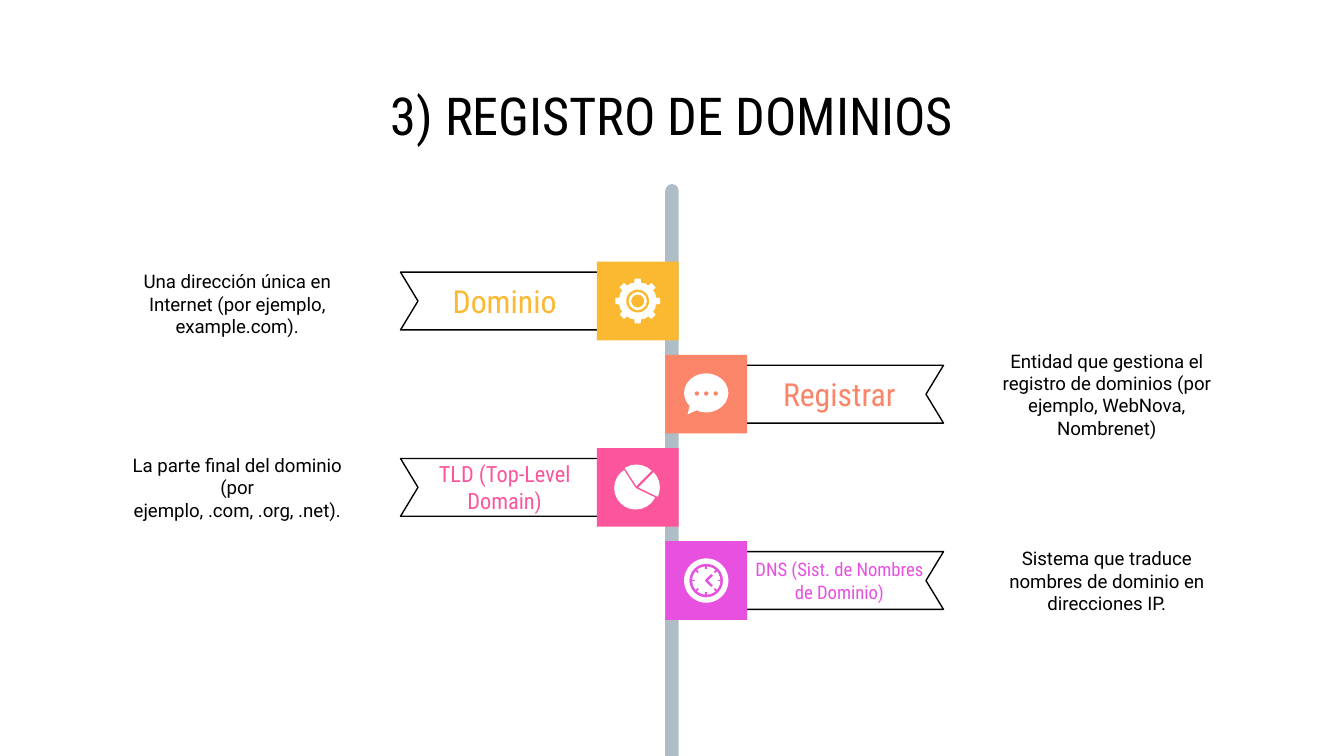
from math import cos, pi, sin

from pptx import Presentation
from pptx.dml.color import RGBColor
from pptx.enum.shapes import MSO_CONNECTOR, MSO_SHAPE
from pptx.enum.text import MSO_ANCHOR, PP_ALIGN
from pptx.oxml.ns import qn
from pptx.util import Inches, Pt
from lxml import etree

RECT, OVAL, DONUT = MSO_SHAPE.RECTANGLE, MSO_SHAPE.OVAL, MSO_SHAPE.DONUT
PIE, BUBBLE = MSO_SHAPE.PIE, MSO_SHAPE.OVAL_CALLOUT
POST = MSO_SHAPE.ROUND_2_SAME_RECTANGLE
STRAIGHT = MSO_CONNECTOR.STRAIGHT
MIDDLE, CENTER = MSO_ANCHOR.MIDDLE, PP_ALIGN.CENTER

WIDE = Inches(10)
HIGH = WIDE * 9 // 16
UNIT = WIDE / 100
TALL = HIGH / UNIT
STEP = 20.8 / 3
FIRST = 22.4
HUES = {
    "white": "FFFFFF", "black": "000000", "post": "AFBDC6",
    "gold": "FBB831", "coral": "FB8569", "pink": "FB569C", "violet": "E850E0",
}


def size(share):
    """Turn hundredths of the slide width into a length."""
    return round(share * UNIT)


def tint(hue):
    """Look a colour up by name."""
    return RGBColor.from_string(HUES[hue])


def paint(shape, fill=None, line=None, weight=0.75):
    """Set fill and line of a shape and drop its shadow."""
    shape.shadow.inherit = False
    if fill:
        shape.fill.solid()
        shape.fill.fore_color.rgb = tint(fill)
    else:
        shape.fill.background()
    if line:
        shape.line.color.rgb = tint(line)
        shape.line.width = Pt(weight)
    else:
        shape.line.fill.background()
    return shape


def block(slide, kind, x, y, wide, high, hue, adjust=()):
    """Add a filled preset shape centred on a point."""
    shape = slide.shapes.add_shape(
        kind, size(x - wide / 2), size(y - high / 2), size(wide), size(high))
    for spot, value in enumerate(adjust):
        shape.adjustments[spot] = value
    return paint(shape, hue)


def outline(slide, points, fill=None, line=None, weight=0.75, close=True):
    """Add a polygon or an open line through points."""
    spots = [(size(x), size(y)) for x, y in points]
    pen = slide.shapes.build_freeform(*spots[0])
    pen.add_line_segments(spots[1:], close=close)
    return paint(pen.convert_to_shape(), fill, line, weight)


def stroke(slide, start, end, hue, weight):
    """Add a straight line without a shadow."""
    line = slide.shapes.add_connector(
        STRAIGHT, *(size(share) for share in (*start, *end)))
    line.line.color.rgb = tint(hue)
    line.line.width = Pt(weight)
    etree.SubElement(line._element.spPr, qn("a:effectLst"))


def write(shape, text, points, font, hue, inset=1):
    """Put centred text into a shape."""
    frame = shape.text_frame
    frame.word_wrap = True
    frame.vertical_anchor = MIDDLE
    frame.margin_left = frame.margin_right = size(inset)
    frame.margin_top = frame.margin_bottom = size(1)
    frame.text = text
    for para in frame.paragraphs:
        para.alignment = CENTER
        for run in para.runs:
            run.font.size = Pt(points)
            run.font.name = font
            run.font.color.rgb = tint(hue)


def label(slide, x, y, wide, high, *style, **extra):
    """Add a text box centred on a point."""
    box = slide.shapes.add_textbox(
        size(x - wide / 2), size(y - high / 2), size(wide), size(high))
    write(box, *style, **extra)


def polar(x, y, reach, turn):
    """Find the point at a distance and a share of a full turn."""
    return x + reach * cos(2 * pi * turn), y + reach * sin(2 * pi * turn)


def gear(slide, x, y, hue):
    """Draw a cogwheel with eight teeth."""
    teeth = [
        polar(x, y, reach, (tooth + shift) / 8)
        for tooth in range(8)
        for reach, shift in ((1.38, -0.24), (1.68, -0.17), (1.68, 0.17),
                             (1.38, 0.24), (1.42, 0.5))]
    outline(slide, teeth, "white")
    block(slide, OVAL, x, y, 1.7, 1.7, hue)
    block(slide, DONUT, x, y, 1.36, 1.36, "white", [0.14])


def chat(slide, x, y, hue):
    """Draw a speech bubble with three dots."""
    block(slide, BUBBLE, x, y - 0.1, 3.3, 2.9, "white", [-0.42, 0.55])
    for shift in (-0.7, 0, 0.7):
        block(slide, OVAL, x + shift, y - 0.05, 0.32, 0.32, hue)


def chart(slide, x, y, hue):
    """Draw a disc cut into three slices."""
    for right, down, start, end in (
            (-0.15, 0.05, 26, 237), (-0.1, -0.1, 237, 315), (0.05, 0, 315, 26)):
        block(slide, PIE, x + right, y + down, 3.2, 3.2, "white",
              [start * 0.6, end * 0.6])


def clock(slide, x, y, hue):
    """Draw a clock face with eight marks and hands."""
    block(slide, DONUT, x, y, 3.3, 3.3, "white", [0.12])
    block(slide, OVAL, x, y, 2.1, 2.1, "white")
    for mark in range(8):
        stroke(slide, polar(x, y, 0.85, mark / 8),
               polar(x, y, 1.1, mark / 8), hue, 1)
    hands = [(x + 0.42, y - 0.42), (x, y), (x + 0.42, y + 0.42)]
    outline(slide, hands, line=hue, weight=1.25, close=False)


def branch(slide, row, side, hue, name, points, note, icon):
    """Draw one row: banner, square, icon and note, left or right."""
    y = FIRST + row * STEP
    flag = [(4.7, 2.15), (20.2, 2.15), (18.9, 0), (20.2, -2.15), (4.7, -2.15)]
    banner = outline(slide, [(50 + side * x, y + down) for x, down in flag],
                     line="black")
    write(banner, name, points, "Roboto Condensed", hue)
    x = 50 + side * 2.55
    block(slide, RECT, x, y, 6.1, 5.86, hue)
    icon(slide, x, y, hue)
    drop = 0.2 if row == 0 else 0
    label(slide, 50 + side * 32.35, y + drop, 19.7, 5.8,
          note, 10, "Roboto", "black")


def main():
    """Build the slide and save it."""
    deck = Presentation()
    deck.slide_width, deck.slide_height = WIDE, HIGH
    slide = deck.slides.add_slide(deck.slide_layouts[6])
    label(slide, 50, 8.5, 84.4, 5.2, "3) REGISTRO DE DOMINIOS", 28,
          "Roboto Condensed", "black", inset=0)
    top = 13.7
    block(slide, POST, 50, (top + TALL) / 2, 1, TALL - top, "post", [0.5, 0])
    rows = [
        ("gold", "Dominio", 17,
         "Una dirección única en Internet (por ejemplo, example.com).", gear),
        ("coral", "Registrar", 17,
         "Entidad que gestiona el registro de dominios (por ejemplo, "
         "WebNova, Nombrenet)", chat),
        ("pink", "TLD (Top-Level Domain)", 12,
         "La parte final del dominio (por\vejemplo, .com, .org, .net).", chart),
        ("violet", "DNS (Sist. de Nombres de Dominio)", 10,
         "Sistema que traduce nombres de dominio en direcciones IP.", clock),
    ]
    for row, parts in enumerate(rows):
        branch(slide, row, 1 if row % 2 else -1, *parts)
    deck.save("out.pptx")


if __name__ == "__main__":
    main()
